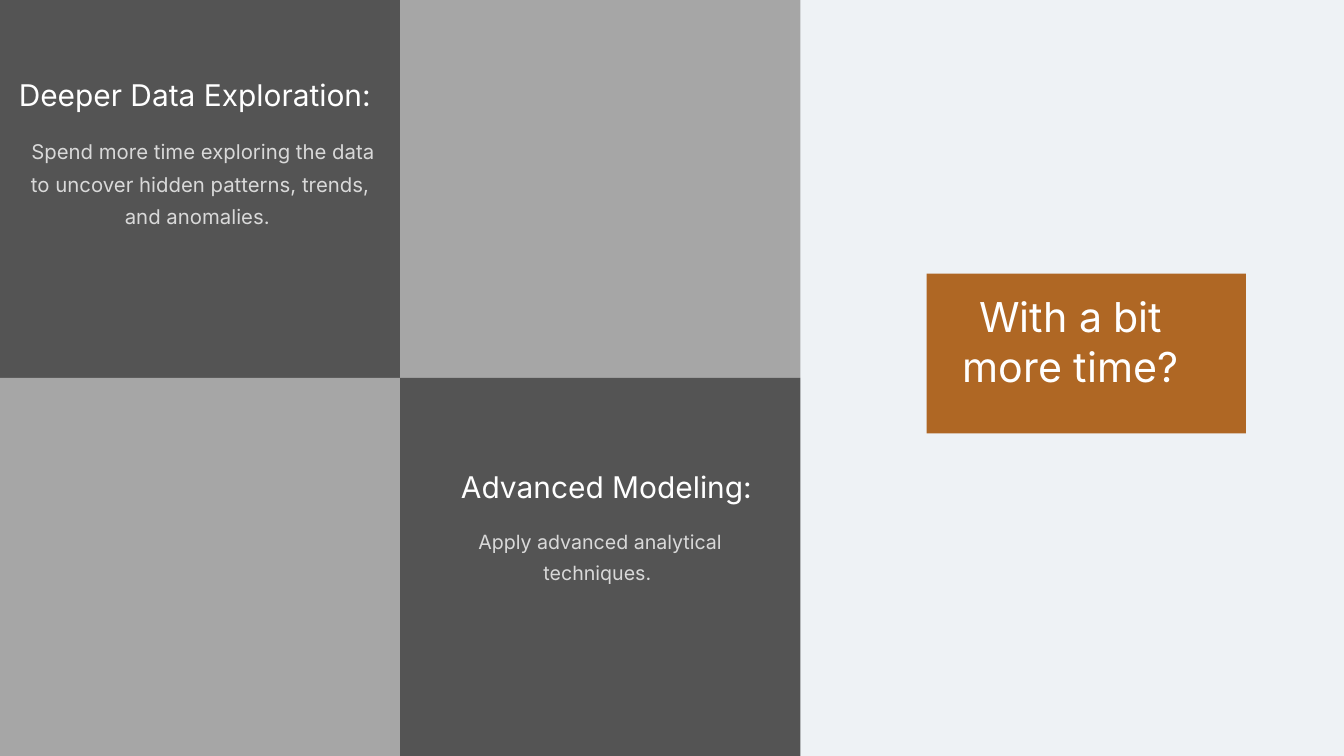
from pptx import Presentation
from pptx.dml.color import RGBColor
from pptx.enum.shapes import MSO_SHAPE
from pptx.enum.text import MSO_AUTO_SIZE, PP_ALIGN
from pptx.util import Inches, Pt

WHITE, PALE, DARK, GRAY = "FFFFFF", "D9D9D9", "545454", "A6A6A6"
TILE_WIDTH, TILE_HEIGHT = 5.955, 5.625


def add_block(left, top, width, height, color):
    shape = slide.shapes.add_shape(
        MSO_SHAPE.RECTANGLE, Inches(left), Inches(top), Inches(width), Inches(height)
    )
    shape.shadow.inherit = False
    shape.fill.solid()
    shape.fill.fore_color.rgb = RGBColor.from_string(color)
    shape.line.fill.background()


def add_text(text, left, top, width, height, size, spacing, color, alignment):
    box = slide.shapes.add_textbox(Inches(left), Inches(top), Inches(width), Inches(height))
    frame = box.text_frame
    frame.margin_left = frame.margin_top = frame.margin_right = frame.margin_bottom = 0
    frame.word_wrap = True
    frame.auto_size = MSO_AUTO_SIZE.SHAPE_TO_FIT_TEXT
    paragraph = frame.paragraphs[0]
    paragraph.text = text
    paragraph.alignment = alignment
    paragraph.line_spacing = Pt(spacing)
    paragraph.font.name = "Inter"
    paragraph.font.size = Pt(size)
    paragraph.font.color.rgb = RGBColor.from_string(color)


presentation = Presentation()
presentation.slide_width = Inches(20)
presentation.slide_height = Inches(11.25)
slide = presentation.slides.add_slide(presentation.slide_layouts[6])
slide.background.fill.solid()
slide.background.fill.fore_color.rgb = RGBColor.from_string("EEF2F5")

add_block(13.79, 4.07, 4.75, 2.38, "AF6724")
for row in range(2):
    for column in range(2):
        color = DARK if row == column else GRAY
        add_block(column * TILE_WIDTH, row * TILE_HEIGHT, TILE_WIDTH, TILE_HEIGHT, color)

texts = [
    ("With a bit more time?", 14.05, 4.34, 3.77, 1.46, 44.1, 52.9, WHITE, PP_ALIGN.CENTER),
    ("Deeper Data Exploration:", 0.28, 1.05, 6.93, 0.6, 32, 44.8, WHITE, PP_ALIGN.LEFT),
    (
        " Spend more time exploring the data to uncover hidden patterns, trends, and anomalies. ",
        0.28, 1.95, 5.4, 1.89, 21.8, 34.9, PALE, PP_ALIGN.CENTER,
    ),
    ("Advanced Modeling:", 6.86, 6.88, 4.6, 0.6, 32, 44.8, WHITE, PP_ALIGN.LEFT),
    (
        "Apply advanced analytical techniques. ",
        6.57, 7.77, 4.72, 0.89, 21, 33.6, PALE, PP_ALIGN.CENTER,
    ),
]
for text in texts:
    add_text(*text)

presentation.save("out.pptx")
